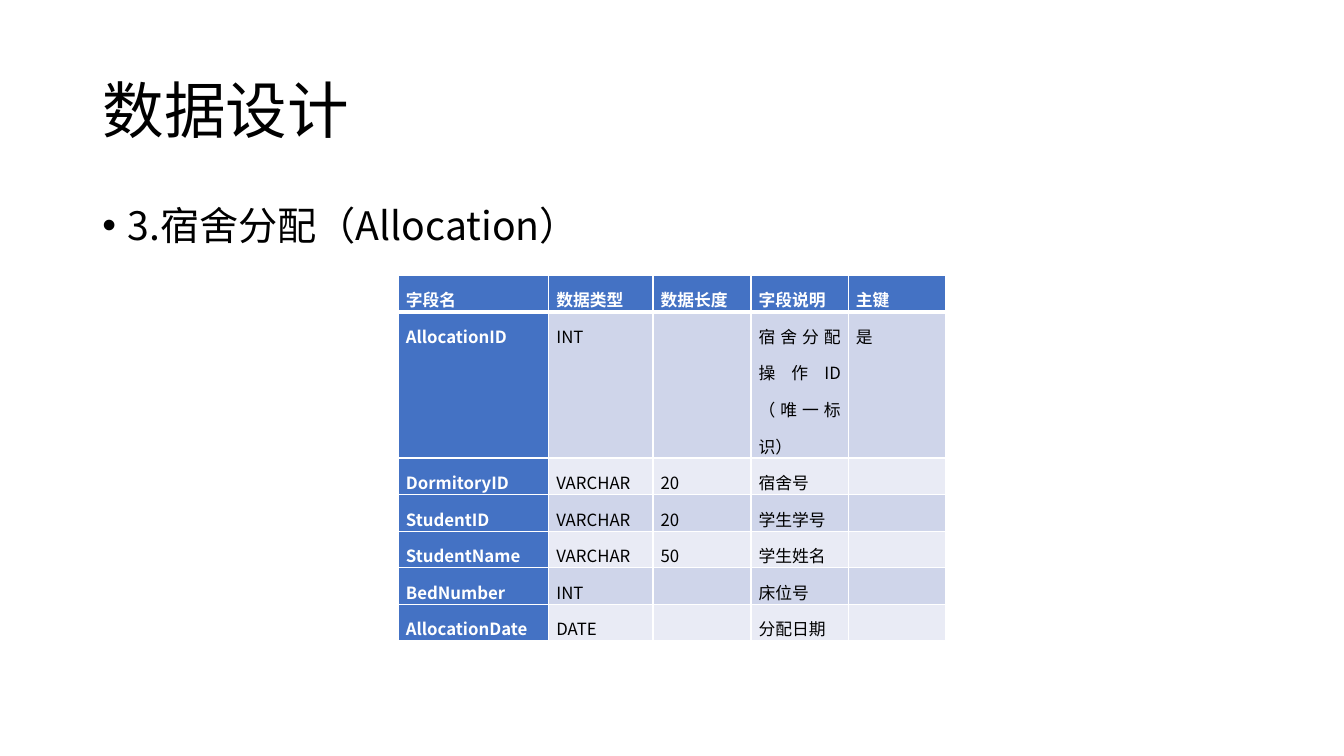
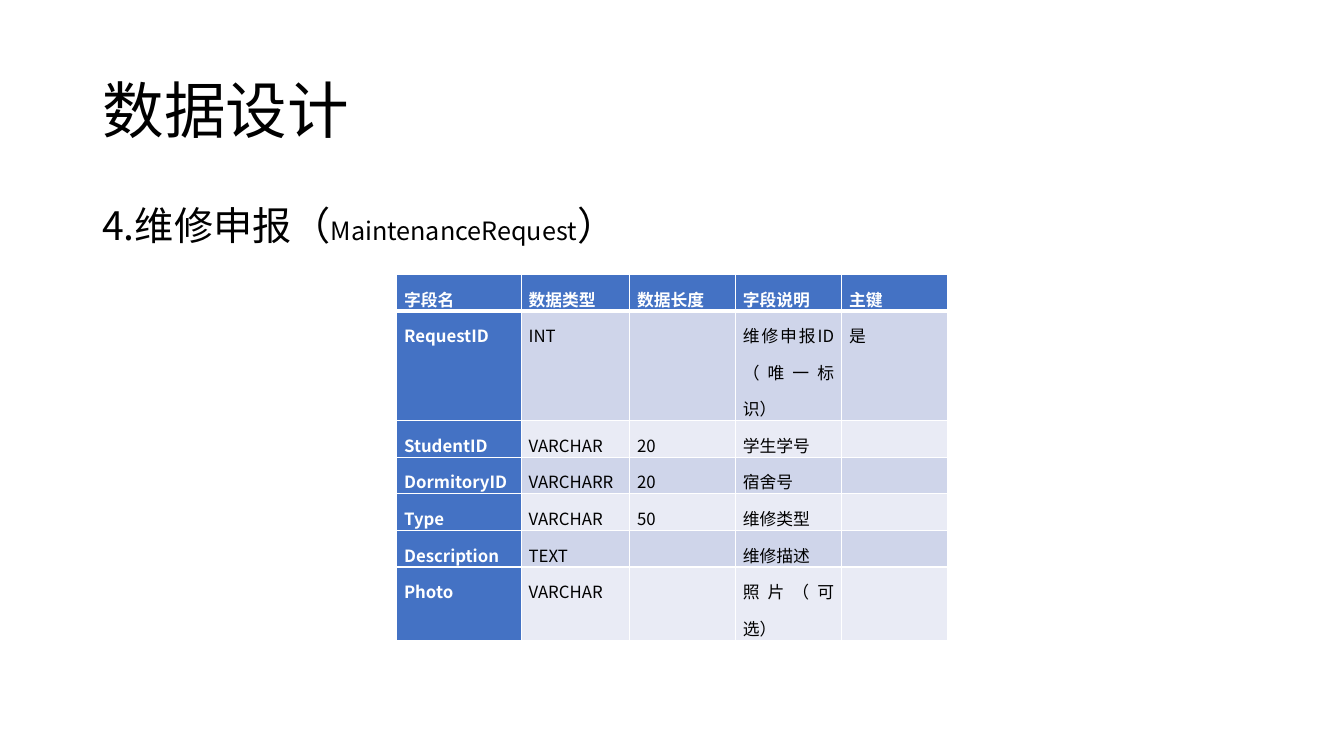
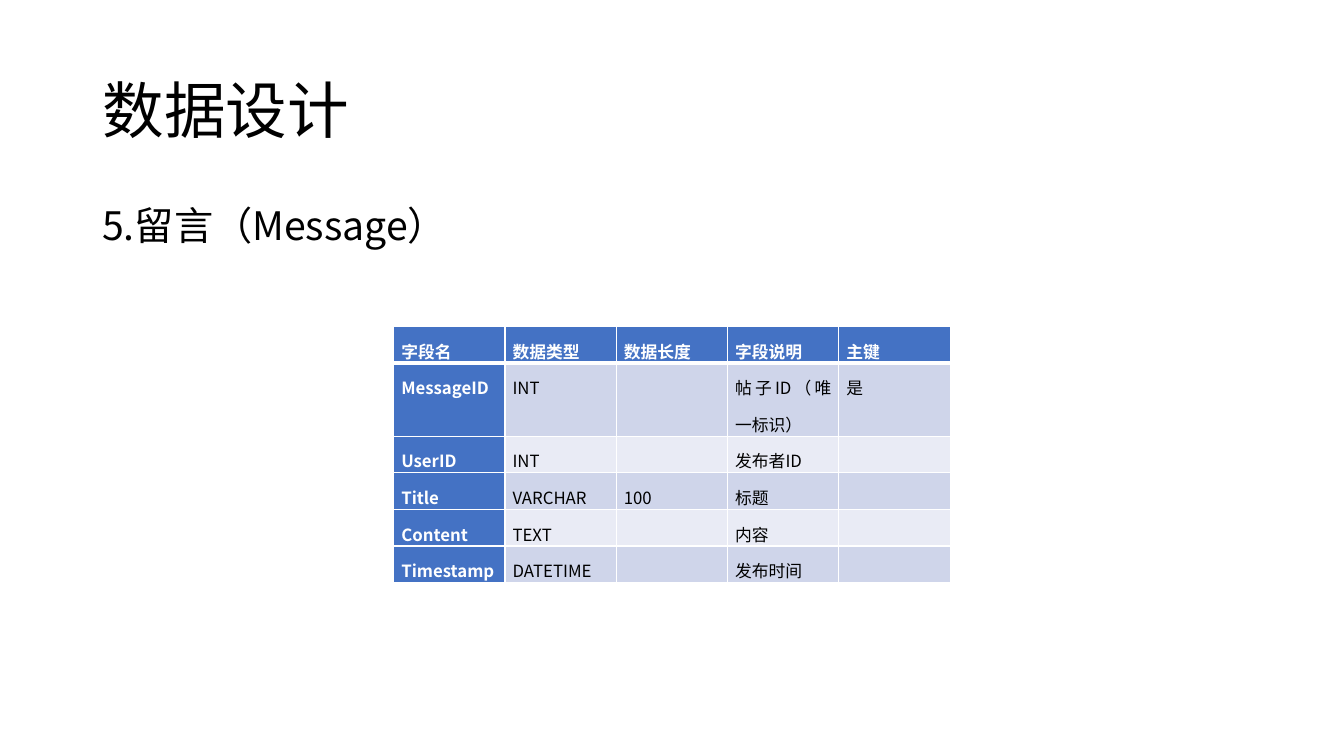
from lxml import etree
from pptx import Presentation
from pptx.dml.color import RGBColor
from pptx.enum.text import MSO_ANCHOR, MSO_AUTO_SIZE, PP_ALIGN
from pptx.oxml.ns import qn
from pptx.util import Pt

LEFT, JUST = PP_ALIGN.LEFT, PP_ALIGN.JUSTIFY
TOP, MIDDLE = MSO_ANCHOR.TOP, MSO_ANCHOR.MIDDLE
FIXED = MSO_AUTO_SIZE.NONE

BLACK = RGBColor(0x00, 0x00, 0x00)
WHITE = RGBColor(0xFF, 0xFF, 0xFF)
BLUE = RGBColor(0x44, 0x72, 0xC4)
BANDS = RGBColor(0xCF, 0xD5, 0xEA), RGBColor(0xE9, 0xEB, 0xF5)

FACE = "Noto Sans CJK SC"
WIDE, HIGH = 960, 540
TITLE = "数据设计"
TITLE_BOX = 66, 28.75, 828, 104.4
LEAD_BOX = 66, 143.75, 828, 342.6
LINE = 23.7
HEAD = "字段名", "数据类型", "数据长度", "字段说明", "主键"

# Each row of a table starts with the number of text lines it holds.
SLIDES = [
    {
        "lead": [("3.宿舍分配（Allocation）", 28)],
        "bullet": True,
        "top": 196.5,
        "cols": [107.5, 74.5, 70, 69.5, 69.5],
        "rows": [
            (4, "AllocationID", "INT", "", "宿舍分配操作ID（唯一标识）", "是"),
            (1, "DormitoryID", "VARCHAR", "20", "宿舍号", ""),
            (1, "StudentID", "VARCHAR", "20", "学生学号", ""),
            (1, "StudentName", "VARCHAR", "50", "学生姓名", ""),
            (1, "BedNumber", "INT", "", "床位号", ""),
            (1, "AllocationDate", "DATE", "", "分配日期", ""),
        ],
    },
    {
        "lead": [("4.维修申报（", 28), ("MaintenanceRequest", 18), ("）", 28)],
        "bullet": False,
        "top": 196,
        "cols": [89, 77.5, 75.5, 76, 75.5],
        "rows": [
            (3, "RequestID", "INT", "", "维修申报ID（唯一标识）", "是"),
            (1, "StudentID", "VARCHAR", "20", "学生学号", ""),
            (1, "DormitoryID", "VARCHARR", "20", "宿舍号", ""),
            (1, "Type", "VARCHAR", "50", "维修类型", ""),
            (1, "Description", "TEXT", "", "维修描述", ""),
            (2, "Photo", "VARCHAR", "", "照片（可选）", ""),
        ],
    },
    {
        "lead": [("5.留言（Message）", 28)],
        "bullet": False,
        "top": 233.25,
        "cols": [79.5] * 5,
        "rows": [
            (2, "MessageID", "INT", "", "帖子ID（唯一标识）", "是"),
            (1, "UserID", "INT", "", "发布者ID", ""),
            (1, "Title", "VARCHAR", "100", "标题", ""),
            (1, "Content", "TEXT", "", "内容", ""),
            (1, "Timestamp", "DATETIME", "", "发布时间", ""),
        ],
    },
]

FRAME = {"word_wrap": True, "auto_size": FIXED}
TITLE_PARA = {"alignment": LEFT, "line_spacing": 0.9}
LEAD_PARA = TITLE_PARA | {"space_before": Pt(10)}
CELL_PARA = {"alignment": JUST, "line_spacing": 1.5}
CELL = {
    "margin_left": Pt(5.4), "margin_right": Pt(5.4),
    "margin_top": 0, "margin_bottom": 0, "vertical_anchor": TOP,
}


def assign(item, values):
    for name, value in values.items():
        setattr(item, name, value)


def write(para, text, size, color=BLACK, bold=False):
    run = para.add_run()
    run.text = text
    assign(run.font, {"size": Pt(size), "bold": bold, "name": FACE})
    run.font.color.rgb = color
    etree.SubElement(run.font._element, qn("a:ea"), typeface=FACE)


def place(shape, box):
    assign(shape, dict(zip(("left", "top", "width", "height"), map(Pt, box))))


def add_title(slide):
    title = slide.shapes.title
    place(title, TITLE_BOX)
    assign(title.text_frame, FRAME | {"vertical_anchor": MIDDLE})
    para = title.text_frame.paragraphs[0]
    assign(para, TITLE_PARA)
    write(para, TITLE, 44)


def add_lead(slide, parts, bullet):
    box = slide.shapes.add_textbox(*map(Pt, LEAD_BOX))
    assign(box.text_frame, FRAME)
    para = box.text_frame.paragraphs[0]
    assign(para, LEAD_PARA)
    if bullet:
        props = para._p.get_or_add_pPr()
        props.set("marL", str(Pt(18)))
        props.set("indent", str(-Pt(18)))
        etree.SubElement(props, qn("a:buFont"), typeface="Arial")
        etree.SubElement(props, qn("a:buChar"), char="•")
    for text, size in parts:
        write(para, text, size)


def add_edges(cell, base):
    """Draw white cell borders, the lower one base points wide."""
    props = cell._tc.get_or_add_tcPr()
    for side, width in (("L", 1), ("R", 1), ("T", 1), ("B", base)):
        edge = etree.SubElement(props, qn("a:ln" + side), w=str(Pt(width)))
        fill = etree.SubElement(edge, qn("a:solidFill"))
        etree.SubElement(fill, qn("a:srgbClr"), val=str(WHITE))


def fill_cell(cell, text, row, col):
    key = row == 0 or col == 0
    assign(cell, CELL)
    add_edges(cell, 3 if row == 0 else 1)
    cell.fill.solid()
    cell.fill.fore_color.rgb = BLUE if key else BANDS[(row - 1) % 2]
    para = cell.text_frame.paragraphs[0]
    assign(para, CELL_PARA)
    if text:
        write(para, text, 12, WHITE if key else BLACK, key)
    else:
        etree.SubElement(para._p, qn("a:endParaRPr"), sz="1200")


def add_grid(slide, top, cols, rows):
    rows = [(1, *HEAD), *rows]
    width = sum(cols)
    height = LINE * sum(row[0] for row in rows)
    box = (WIDE - width) / 2, top, width, height
    table = slide.shapes.add_table(len(rows), len(cols), *map(Pt, box)).table
    for column, size in zip(table.columns, cols):
        column.width = Pt(size)
    for r, (lines, *texts) in enumerate(rows):
        table.rows[r].height = Pt(LINE * lines)
        for c, text in enumerate(texts):
            fill_cell(table.cell(r, c), text, r, c)


def main():
    deck = Presentation()
    assign(deck, {"slide_width": Pt(WIDE), "slide_height": Pt(HIGH)})
    for data in SLIDES:
        slide = deck.slides.add_slide(deck.slide_layouts[5])
        add_title(slide)
        add_lead(slide, data["lead"], data["bullet"])
        add_grid(slide, data["top"], data["cols"], data["rows"])
    deck.save("out.pptx")


if __name__ == "__main__":
    main()
